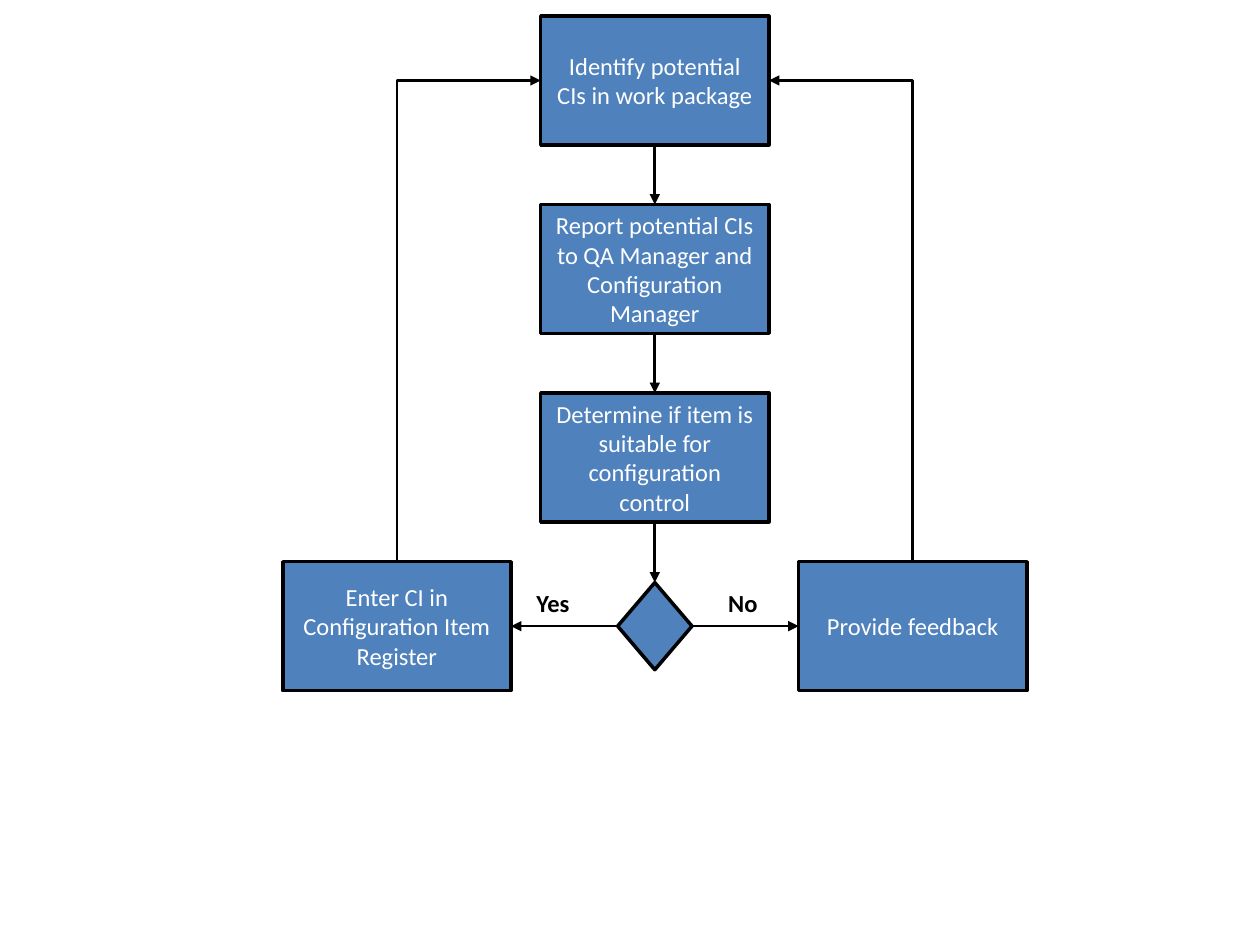
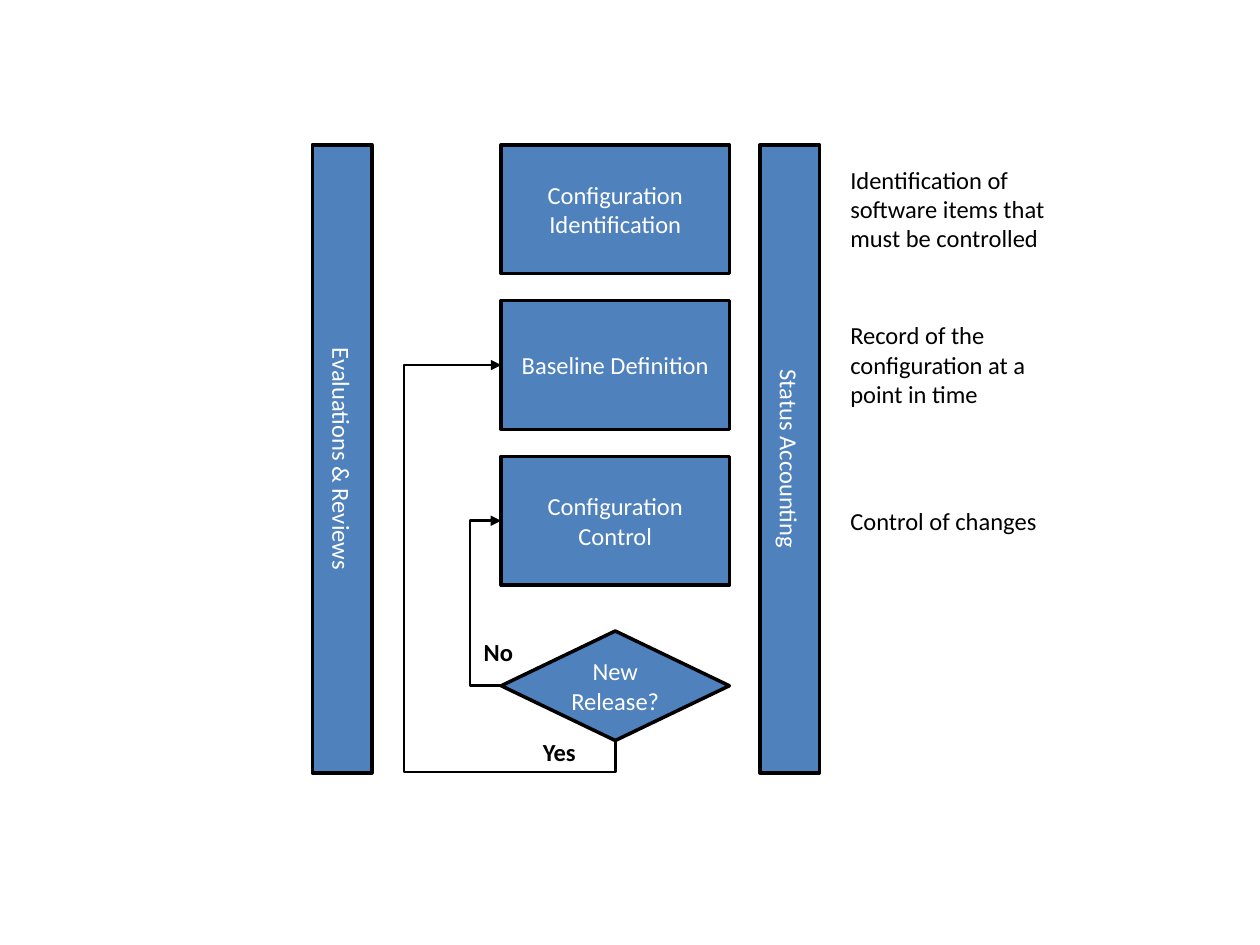
"""Builds two flowcharts on configuration item handling and configuration control."""
from lxml.etree import SubElement
from pptx import Presentation
from pptx.dml.color import RGBColor
from pptx.enum.shapes import MSO_CONNECTOR, MSO_SHAPE
from pptx.enum.text import MSO_ANCHOR, MSO_AUTO_SIZE, PP_ALIGN
from pptx.oxml.ns import qn
from pptx.util import Pt

BLUE = RGBColor(0x4F, 0x81, 0xBD)
BLACK = RGBColor(0, 0, 0)
WHITE = RGBColor(255, 255, 255)
BOX_WIDTH, BOX_HEIGHT = 130.4, 73.6
LABEL_WIDTH, LABEL_HEIGHT = 36, 24.2


def add_text_shape(page, frame, text, kind=None, bold=False):
    """Add a filled flowchart shape, or a plain text box when kind is None."""
    lengths = [Pt(length) for length in frame]
    if kind is None:
        box = page.shapes.add_textbox(*lengths)
        box.text_frame.auto_size = MSO_AUTO_SIZE.SHAPE_TO_FIT_TEXT
    else:
        box = page.shapes.add_shape(kind, *lengths)
        box.shadow.inherit = False
        box.fill.solid()
        box.fill.fore_color.rgb = BLUE
        box.line.color.rgb = BLACK
        box.line.width = Pt(2)
        box.text_frame.vertical_anchor = MSO_ANCHOR.MIDDLE
    box.text_frame.word_wrap = True
    if text:
        para = box.text_frame.paragraphs[0]
        para.alignment = PP_ALIGN.CENTER if kind else PP_ALIGN.LEFT
        span = para.add_run()
        span.text = text
        for name, value in {"name": "Calibri", "size": Pt(14), "bold": bold}.items():
            setattr(span.font, name, value)
        span.font.color.rgb = WHITE if kind else BLACK
    return box


def add_arrow(page, start, end, preset="line", upward=False, adjustments=()):
    """Add an arrow; an upward one is a horizontal elbow turned a quarter left."""
    (x1, y1), (x2, y2) = start, end
    if upward:
        middle_x, middle_y = (x1 + x2) / 2, (y1 + y2) / 2
        half_width, half_height = abs(y2 - y1) / 2, abs(x2 - x1) / 2
        x1, x2 = middle_x - half_width, middle_x + half_width
        y1, y2 = middle_y - half_height, middle_y + half_height
    arrow = page.shapes.add_connector(MSO_CONNECTOR.STRAIGHT, Pt(x1), Pt(y1), Pt(x2), Pt(y2))
    arrow.line.color.rgb = BLACK
    arrow.line.width = Pt(1.5)
    properties = arrow._element.spPr
    if upward:
        transform = properties.find(qn("a:xfrm"))
        transform.set("rot", str(270 * 60000))
        if end[0] < start[0]:
            transform.set("flipV", "1")
    geometry = properties.find(qn("a:prstGeom"))
    geometry.set("prst", preset)
    for number, factor in enumerate(adjustments, 1):
        SubElement(geometry.find(qn("a:avLst")), qn("a:gd"), name=f"adj{number}",
                   fmla=f"val {round(factor * 100000)}")
    SubElement(properties.find(qn("a:ln")), qn("a:tailEnd"), type="triangle")
    SubElement(properties, qn("a:effectLst"))


deck = Presentation()
deck.slide_width, deck.slide_height = Pt(720), Pt(540)
identification, control = [deck.slides.add_slide(deck.slide_layouts[6]) for _ in range(2)]

STEP_LEFT, STEP_TOP, STEP_PITCH = 309, 9.2, 107.7
CENTER_X = STEP_LEFT + BOX_WIDTH / 2
COLUMN_PITCH, OUTCOME_TOP = 147.4, 321
OUTCOME_Y = OUTCOME_TOP + BOX_HEIGHT / 2
DECISION_WIDTH, DECISION_HEIGHT = 42.5, 49.8
steps = [
    "Identify potential CIs in work package",
    "Report potential CIs to QA Manager and Configuration Manager",
    "Determine if item is suitable for configuration control",
]
decision_top = OUTCOME_Y - DECISION_HEIGHT / 2
for index, text in enumerate(steps):
    top = STEP_TOP + index * STEP_PITCH
    add_text_shape(identification, (STEP_LEFT, top, BOX_WIDTH, BOX_HEIGHT), text,
                   MSO_SHAPE.FLOWCHART_PROCESS)
    next_top = top + STEP_PITCH if index < len(steps) - 1 else decision_top
    add_arrow(identification, (CENTER_X, top + BOX_HEIGHT), (CENTER_X, next_top))
add_text_shape(identification,
               (CENTER_X - DECISION_WIDTH / 2, decision_top, DECISION_WIDTH, DECISION_HEIGHT),
               "", MSO_SHAPE.FLOWCHART_DECISION)

outcomes = [
    (-1, "Enter CI in Configuration Item Register", "Yes", 299.5),
    (1, "Provide feedback", "No", 409),
]
for side, text, answer, answer_left in outcomes:
    left = STEP_LEFT + side * COLUMN_PITCH
    outcome_x = left + BOX_WIDTH / 2
    add_text_shape(identification, (left, OUTCOME_TOP, BOX_WIDTH, BOX_HEIGHT), text,
                   MSO_SHAPE.FLOWCHART_PROCESS)
    add_text_shape(identification, (answer_left, 332.6, LABEL_WIDTH, LABEL_HEIGHT), answer,
                   bold=True)
    add_arrow(identification, (CENTER_X + side * DECISION_WIDTH / 2, OUTCOME_Y),
              (outcome_x - side * BOX_WIDTH / 2, OUTCOME_Y))
    add_arrow(identification, (outcome_x, OUTCOME_TOP),
              (CENTER_X + side * BOX_WIDTH / 2, STEP_TOP + BOX_HEIGHT / 2),
              "bentConnector2", upward=True)

STAGE_LEFT, STAGE_TOP, STAGE_PITCH = 286.4, 82.8, 89
NOTE_LEFT = 478.8
RELEASE_TOP, RELEASE_HEIGHT = 360.6, 62.6
BAR_WIDTH, BAR_HEIGHT = 34, 358.8
stages = [
    ("Configuration Identification", "Identification of software items that must be controlled", 58.2),
    ("Baseline Definition", "Record of the configuration at a point in time", 58.2),
    ("Configuration Control", "Control of changes", LABEL_HEIGHT),
]
stage_middles = []
for index, (text, note, note_height) in enumerate(stages):
    top = STAGE_TOP + index * STAGE_PITCH
    middle = top + BOX_HEIGHT / 2
    stage_middles.append(middle)
    add_text_shape(control, (STAGE_LEFT, top, BOX_WIDTH, BOX_HEIGHT), text,
                   MSO_SHAPE.FLOWCHART_PROCESS)
    add_text_shape(control, (NOTE_LEFT, middle - note_height / 2, BOX_WIDTH, note_height), note)
add_text_shape(control, (STAGE_LEFT, RELEASE_TOP, BOX_WIDTH, RELEASE_HEIGHT), "New Release?",
               MSO_SHAPE.FLOWCHART_DECISION)

for left, text in [(178.5, "Evaluations & Reviews"), (434.2, "Status Accounting")]:
    bar = add_text_shape(control, (left, STAGE_TOP, BAR_WIDTH, BAR_HEIGHT), text,
                         MSO_SHAPE.FLOWCHART_PROCESS)
    bar.text_frame._txBody.bodyPr.set("vert", "vert")

for answer, left, top in [("No", 269.3, 360.6), ("Yes", 303.1, 417.6)]:
    add_text_shape(control, (left, top, LABEL_WIDTH, LABEL_HEIGHT), answer, bold=True)

BEND, OFFSET, YES_REACH = 18, 0.5, 120.8
add_arrow(control, (STAGE_LEFT + OFFSET, RELEASE_TOP + RELEASE_HEIGHT / 2),
          (STAGE_LEFT, stage_middles[2]), "bentConnector3", adjustments=[BEND / OFFSET])
release_bottom = RELEASE_TOP + RELEASE_HEIGHT
add_arrow(control, (STAGE_LEFT + BOX_WIDTH / 2, release_bottom), (STAGE_LEFT, stage_middles[1]),
          "bentConnector4", upward=True,
          adjustments=[-BEND / (release_bottom - stage_middles[1]), YES_REACH / (BOX_WIDTH / 2)])

deck.save("out.pptx")
